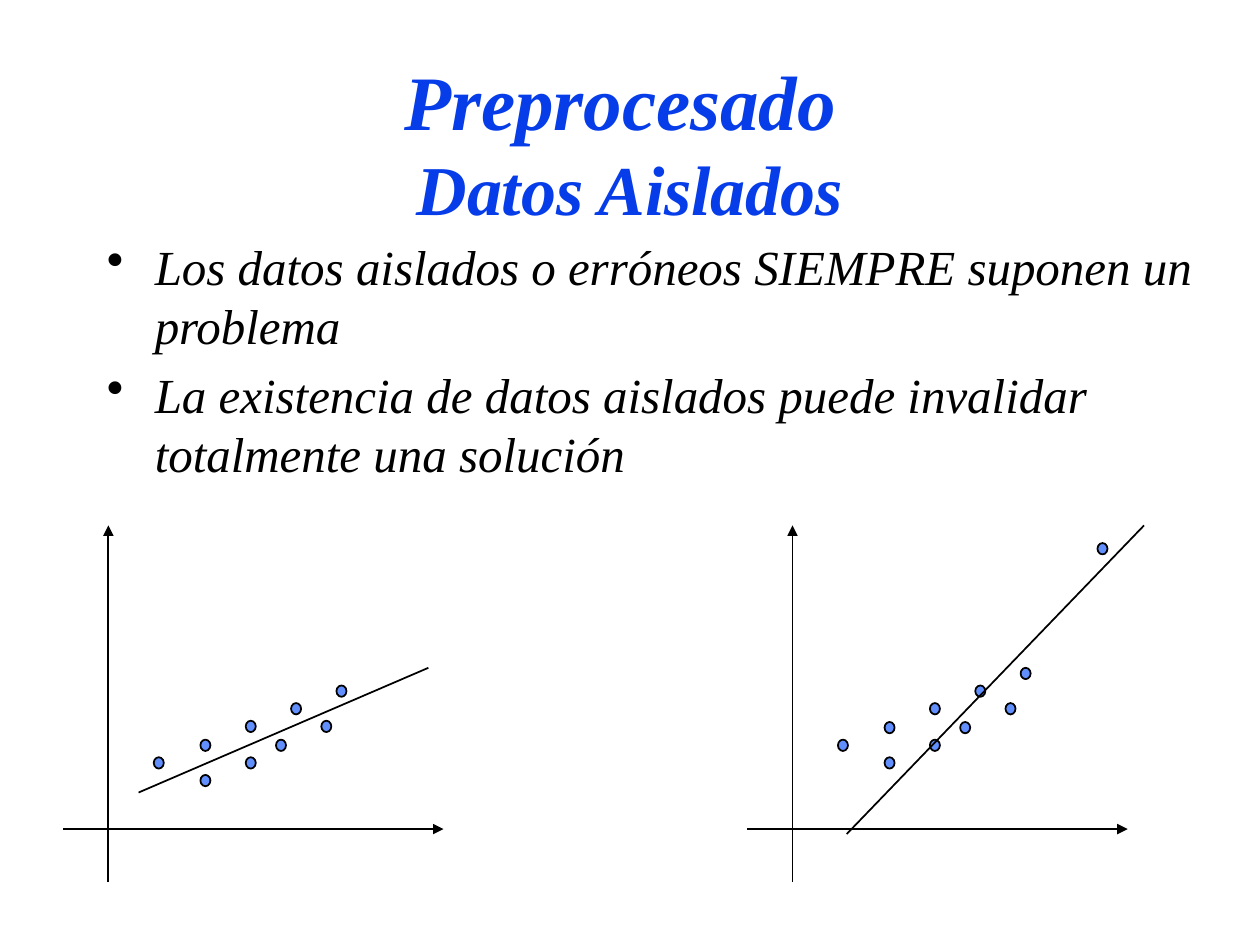
from dataclasses import dataclass

from lxml import etree
from pptx import Presentation
from pptx.dml.color import RGBColor
from pptx.enum import shapes, text
from pptx.oxml import ns
from pptx.util import Inches, Pt

BLUE = RGBColor(0x06, 0x3D, 0xE8)
DOT_BLUE = RGBColor(0x61, 0x8F, 0xFD)
BLACK = RGBColor(0, 0, 0)
FONT = "Times New Roman"
DOT_WIDTH, DOT_HEIGHT = 0.08, 0.09
INDENT = Inches(0.38)

Point = tuple[float, float]

COMMON_DOTS: list[Point] = [
    (1.22, 6.01), (1.59, 6.15), (1.95, 5.72), (2.19, 5.87), (2.31, 5.58),
    (2.55, 5.72), (1.59, 5.87), (1.95, 6.01), (2.67, 5.44),
]
BULLETS = [
    "Los datos aislados o erróneos SIEMPRE suponen un problema",
    "La existencia de datos aislados puede invalidar totalmente una solución",
]


@dataclass
class Plot:
    left: float
    dots: list[Point]
    fit_start: Point
    fit_end: Point


def add_text(slide, left: float, top: float, width: float, height: float, content: str):
    shape = slide.shapes.add_textbox(Inches(left), Inches(top), Inches(width), Inches(height))
    frame = shape.text_frame
    frame.word_wrap = True
    frame.text = content
    return frame


def format_run(run, size: float, color: RGBColor, bold: bool = False) -> None:
    run.font.name = FONT
    run.font.size = Pt(size)
    run.font.color.rgb = color
    run.font.bold = bold
    run.font.italic = True


def add_line(slide, start: Point, end: Point, arrow: bool = False) -> None:
    line = slide.shapes.add_connector(
        shapes.MSO_CONNECTOR.STRAIGHT, *(Inches(value) for value in start + end)
    )
    line.line.color.rgb = BLACK
    line.line.width = Pt(1)
    if arrow:
        etree.SubElement(line.line._get_or_add_ln(), ns.qn("a:tailEnd"), type="triangle")
    etree.SubElement(line._element.spPr, ns.qn("a:effectLst"))


def add_dot(slide, position: Point) -> None:
    left, top = position
    dot = slide.shapes.add_shape(
        shapes.MSO_SHAPE.OVAL, Inches(left), Inches(top), Inches(DOT_WIDTH), Inches(DOT_HEIGHT)
    )
    dot.shadow.inherit = False
    dot.fill.solid()
    dot.fill.fore_color.rgb = DOT_BLUE
    dot.line.color.rgb = BLACK
    dot.line.width = Pt(1)


def add_plot(slide, plot: Plot) -> None:
    axis = plot.left + 0.36
    add_line(slide, (axis, 7), (axis, 4.17), arrow=True)
    add_line(slide, (plot.left, 6.58), (plot.left + 3.02, 6.58), arrow=True)
    for position in plot.dots:
        add_dot(slide, position)
    add_line(slide, plot.fit_start, plot.fit_end)


def add_title(slide) -> None:
    frame = add_text(slide, 0.75, 0.5, 8.5, 1.25, "Preprocesado \vDatos Aislados")
    frame.vertical_anchor = text.MSO_ANCHOR.MIDDLE
    paragraph = frame.paragraphs[0]
    paragraph.alignment = text.PP_ALIGN.CENTER
    for run, size in zip(paragraph.runs, (44, 40)):
        format_run(run, size, BLUE, bold=True)


def add_bullets(slide) -> None:
    frame = add_text(slide, 0.75, 1.83, 9.08, 2.92, "\n".join(BULLETS))
    for index, paragraph in enumerate(frame.paragraphs):
        properties = paragraph._p.get_or_add_pPr()
        properties.set("marL", str(INDENT))
        properties.set("indent", str(-INDENT))
        etree.SubElement(properties, ns.qn("a:buChar"), char="•")
        paragraph.space_before = Pt(5.6 if index else 0)
        format_run(paragraph.runs[0], 28, BLACK)


def main() -> None:
    presentation = Presentation()
    presentation.slide_width = Inches(10)
    presentation.slide_height = Inches(7.5)
    slide = presentation.slides.add_slide(presentation.slide_layouts[6])
    add_title(slide)
    add_bullets(slide)
    shifted_dots = [(left + 5.43, top - 0.14) for left, top in COMMON_DOTS]
    outlier = (8.71, 4.31)
    plots = [
        Plot(0.5, COMMON_DOTS, (1.1, 6.29), (3.4, 5.3)),
        Plot(5.93, shifted_dots + [outlier], (6.72, 6.62), (9.08, 4.17)),
    ]
    for plot in plots:
        add_plot(slide, plot)
    presentation.save("out.pptx")


if __name__ == "__main__":
    main()
